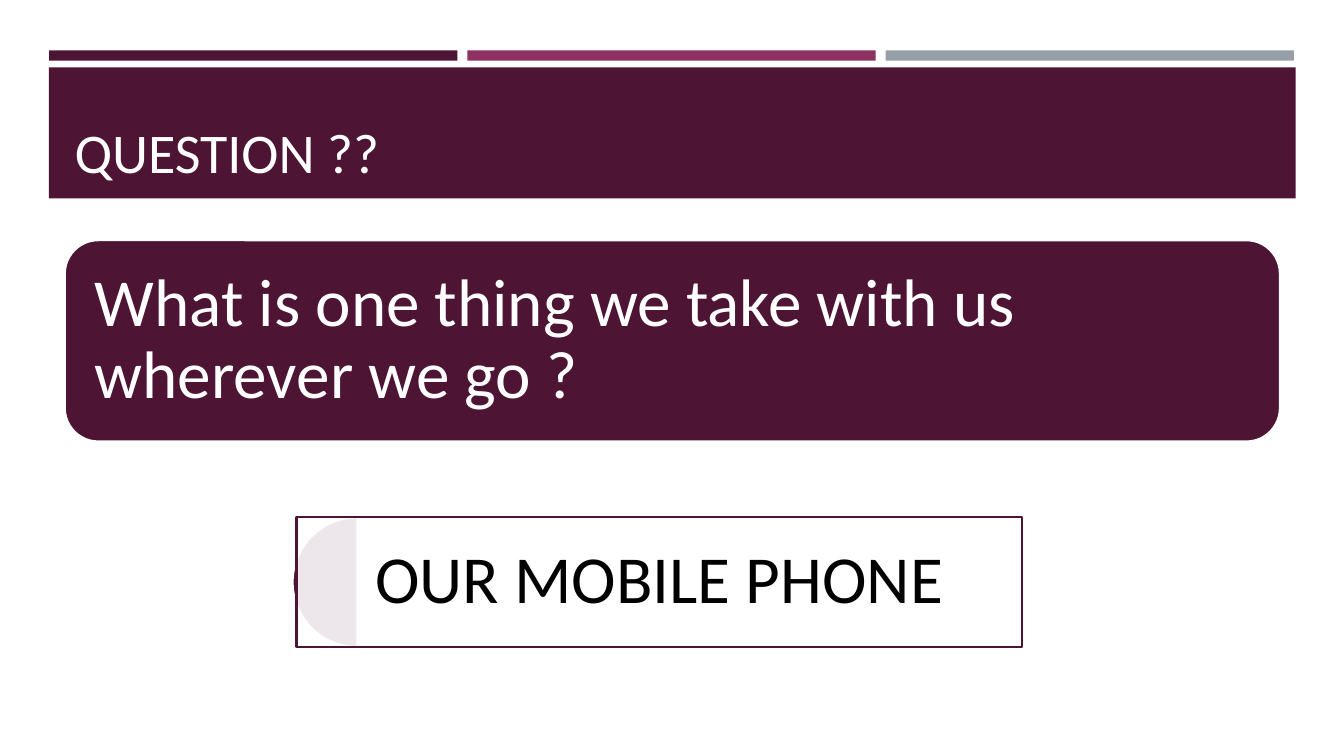
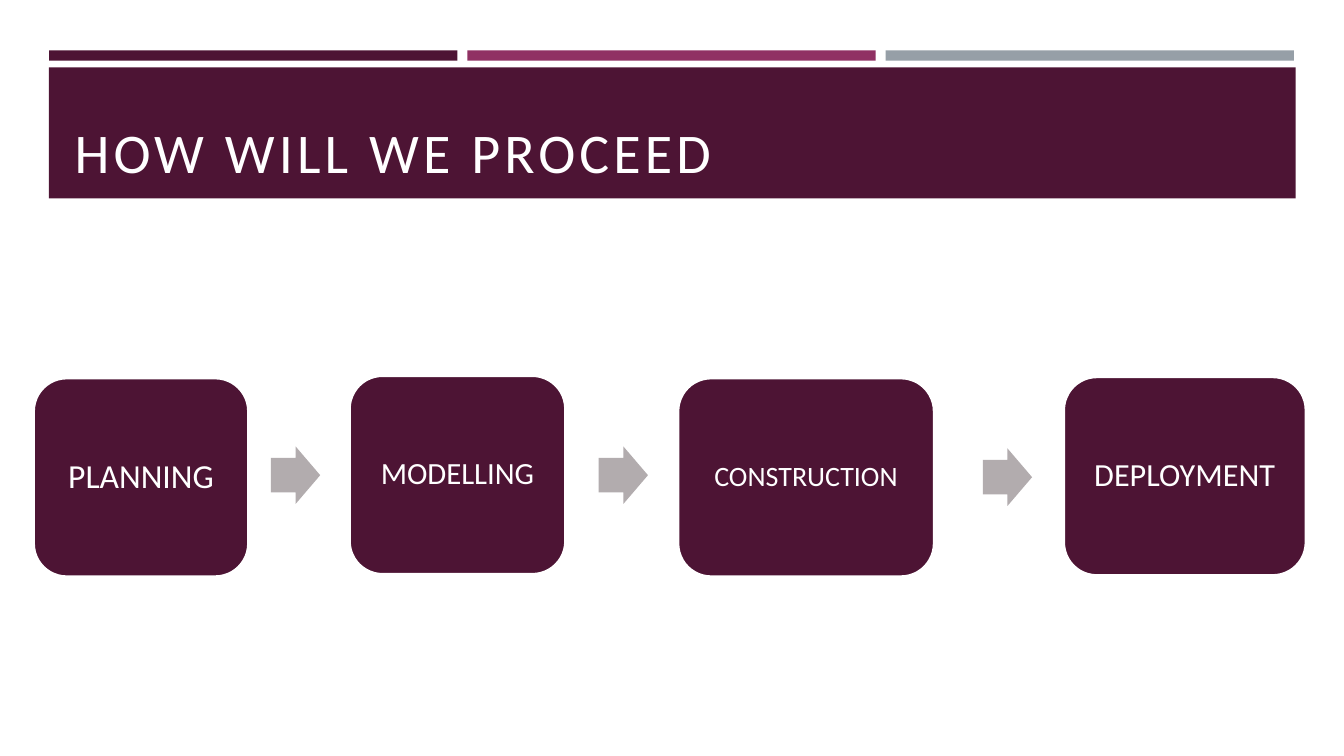
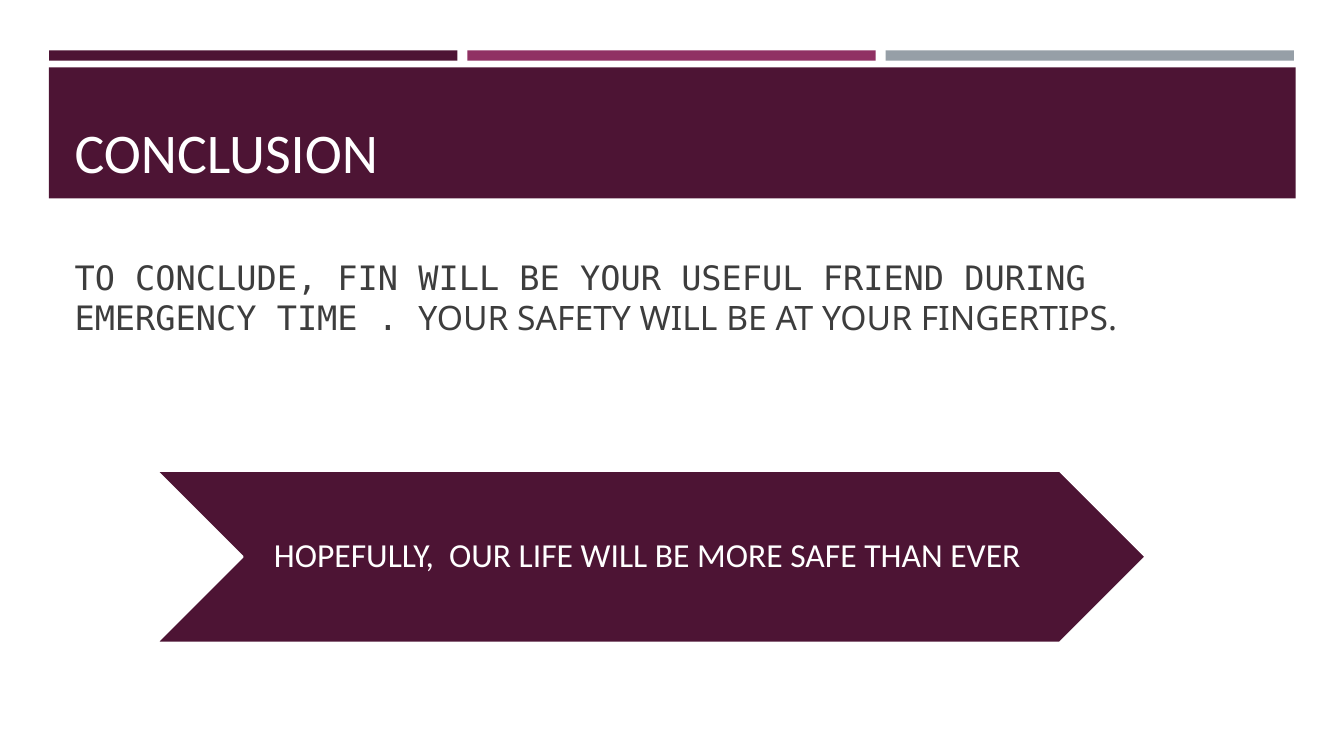
from dataclasses import dataclass

from lxml import etree
from pptx import Presentation
from pptx.dml.color import RGBColor as RGB
from pptx.enum.shapes import MSO_SHAPE as SHAPE
from pptx.enum.text import MSO_ANCHOR as ANCHOR, PP_ALIGN as ALIGN
from pptx.oxml.ns import qn
from pptx.util import Cm, Pt


@dataclass(frozen=True)
class Theme:
    plum: RGB = RGB(0x4D, 0x14, 0x34)
    magenta: RGB = RGB(0x90, 0x31, 0x63)
    steel: RGB = RGB(0x96, 0x9F, 0xA7)
    arrow: RGB = RGB(0xB2, 0xAC, 0xAE)
    white: RGB = RGB(0xFF, 0xFF, 0xFF)
    black: RGB = RGB(0, 0, 0)
    body: RGB = RGB(0x3D, 0x3D, 0x3D)
    font: str = "Calibri"
    mono: str = "DejaVu Sans Mono"
    sans: str = "Noto Sans"
    title_size: int = 40
    statement_size: int = 48
    text_size: int = 24
    outline: float = 1.75


T = Theme()


def add_shape(slide, kind, box, fill, line=None, adjustments=()):
    """Add a flat preset shape; box is left, top, width, height in cm."""
    sp = slide.shapes.add_shape(kind, *map(Cm, box))
    sp.shadow.inherit = False
    sp.fill.solid()
    sp.fill.fore_color.rgb = fill
    if line is None:
        sp.line.fill.background()
    else:
        sp.line.color.rgb = line
        sp.line.width = Pt(T.outline)
    for i, value in enumerate(adjustments):
        sp.adjustments[i] = value
    return sp


def set_opacity(sp, percent):
    color = sp.fill._xPr.find(qn("a:solidFill"))[0]
    etree.SubElement(color, qn("a:alpha")).set("val", str(percent * 1000))


def format_run(r, size, color, font=T.font):
    r.font.size = Pt(size)
    r.font.color.rgb = color
    r.font.name = font


def set_margins(tf, x, y):
    tf.margin_left = tf.margin_right = Cm(x)
    tf.margin_top = tf.margin_bottom = Cm(y)


def label(sp, text, size, color=T.white, align=ALIGN.CENTER, margins=(0.25, 0.13)):
    """Write one vertically centred paragraph inside a shape."""
    tf = sp.text_frame
    tf.word_wrap = True
    tf.vertical_anchor = ANCHOR.MIDDLE
    set_margins(tf, *margins)
    tf.text = text
    p = tf.paragraphs[0]
    p.alignment = align
    p.line_spacing = 0.9
    format_run(p.runs[0], size, color)


def add_text_box(slide, box, anchor):
    tf = slide.shapes.add_textbox(*map(Cm, box)).text_frame
    tf.word_wrap = True
    tf.vertical_anchor = anchor
    return tf


def add_titled_slide(prs, title, spacing=0):
    """Add a slide with the three bars, the band and its title."""
    slide = prs.slides.add_slide(prs.slide_layouts[6])
    for i, color in enumerate((T.plum, T.magenta, T.steel)):
        add_shape(slide, SHAPE.RECTANGLE, (1.24 + i * 10.54, 1.27, 10.29, 0.26), color)
    add_shape(slide, SHAPE.RECTANGLE, (1.23, 1.7, 31.42, 3.3), T.plum)
    tf = add_text_box(slide, (1.63, 1.96, 30.63, 2.82), ANCHOR.BOTTOM)
    tf.text = title
    r = tf.paragraphs[0].runs[0]
    format_run(r, T.title_size, T.white)
    if spacing:
        r.font._element.set("spc", str(spacing * 100))
    return slide


def add_question_slide(prs):
    slide = add_titled_slide(prs, "QUESTION ??")
    margins = (0.51, 0.51)
    question = add_shape(slide, SHAPE.ROUNDED_RECTANGLE, (1.63, 6.05, 30.63, 5.08),
                         T.plum, T.white)
    label(question, "What is one thing we take with us wherever we go ?",
          T.statement_size, align=ALIGN.LEFT, margins=margins)
    add_shape(slide, SHAPE.PIE, (7.37, 13.03, 3.28, 3.28), T.plum, T.white, (54, 162))
    answer = add_shape(slide, SHAPE.RECTANGLE, (7.47, 13.03, 18.29, 3.28), T.white, T.plum)
    set_opacity(answer, 90)
    label(answer, "OUR MOBILE PHONE", T.statement_size, T.black, margins=margins)


def add_process_slide(prs):
    slide = add_titled_slide(prs, "HOW WILL WE PROCEED", spacing=3)
    steps = (
        ("PLANNING", 0.85, 9.53, 5.41, 24),
        ("MODELLING", 8.81, 9.47, 5.44, 22),
        ("CONSTRUCTION", 17.09, 9.53, 6.45, 20),
        ("DEPLOYMENT", 26.81, 9.5, 6.1, 23),
    )
    for name, left, top, width, size in steps:
        step = add_shape(slide, SHAPE.ROUNDED_RECTANGLE, (left, top, width, 5),
                         T.plum, T.white)
        label(step, name, size)
    for left, top in ((6.83, 11.25), (15.09, 11.25), (24.77, 11.3)):
        add_shape(slide, SHAPE.RIGHT_ARROW, (left, top, 1.24, 1.45), T.arrow,
                  adjustments=(0.6, 0.5))


def add_conclusion_slide(prs):
    slide = add_titled_slide(prs, "CONCLUSION")
    tf = add_text_box(slide, (1.63, 6.35, 30.63, 2.5), ANCHOR.TOP)
    p = tf.paragraphs[0]
    for text, font in (
        ("TO CONCLUDE, FIN WILL BE YOUR USEFUL FRIEND DURING EMERGENCY TIME . ", T.mono),
        ("YOUR SAFETY WILL BE AT YOUR FINGERTIPS.", T.sans),
    ):
        r = p.add_run()
        r.text = text
        format_run(r, T.text_size, T.body, font)
    hope = add_shape(slide, SHAPE.CHEVRON, (3.94, 11.86, 24.94, 4.34), T.plum, T.white)
    label(hope, "HOPEFULLY,  OUR LIFE WILL BE MORE SAFE THAN EVER ", T.text_size,
          margins=(0.05, 0.05))


def main():
    prs = Presentation()
    prs.slide_width, prs.slide_height = Cm(33.87), Cm(19.05)
    add_question_slide(prs)
    add_process_slide(prs)
    add_conclusion_slide(prs)
    prs.save("out.pptx")


if __name__ == "__main__":
    main()
